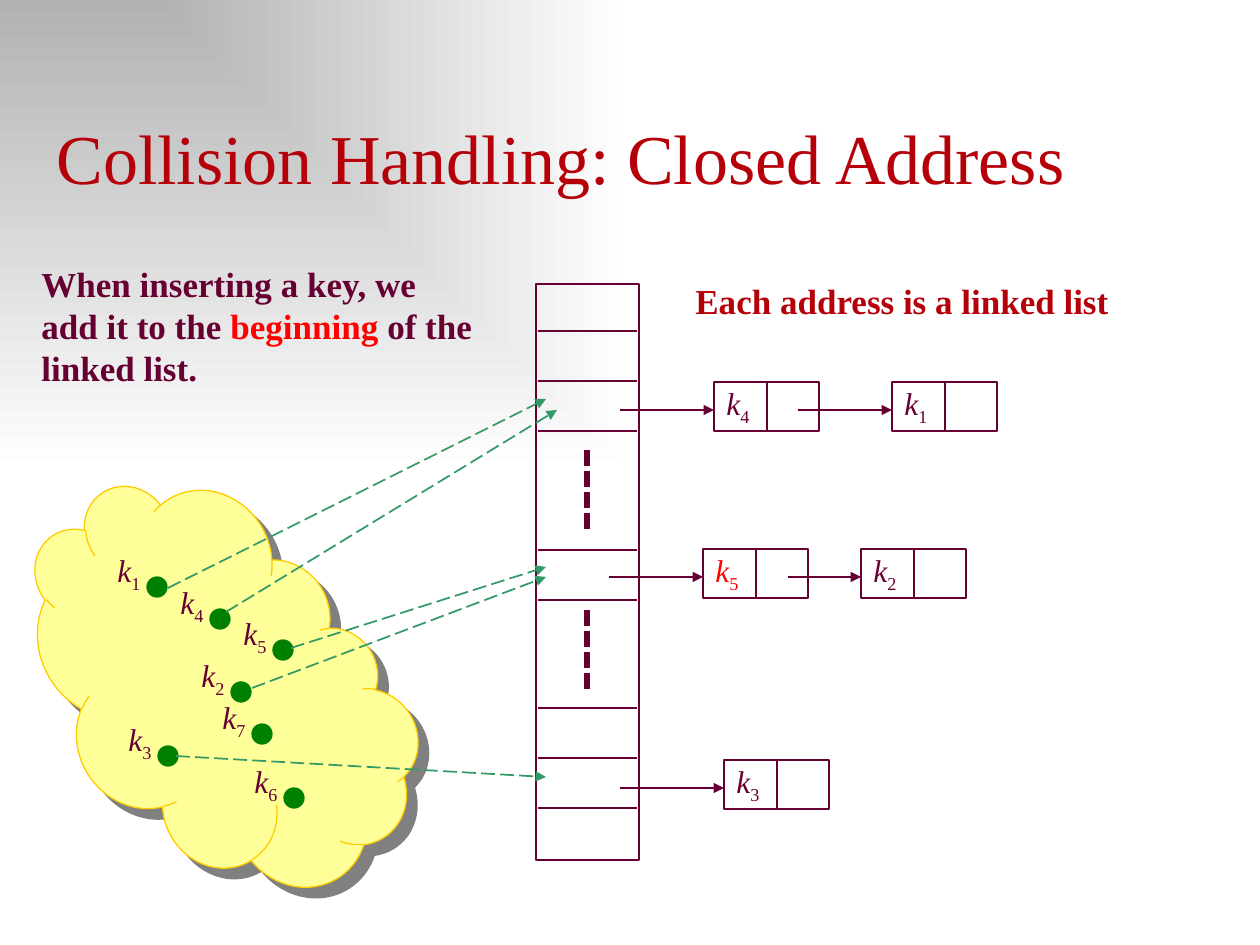
from dataclasses import dataclass

from lxml.etree import SubElement
from pptx import Presentation
from pptx.dml.color import RGBColor
from pptx.enum.dml import MSO_LINE
from pptx.enum.shapes import MSO_CONNECTOR, MSO_SHAPE
from pptx.enum.text import MSO_ANCHOR, MSO_AUTO_SIZE, PP_ALIGN
from pptx.oxml.ns import qn
from pptx.util import Emu, Pt

PX_PER_INCH = 126
TITLE_ONLY = 5


@dataclass(frozen=True)
class Theme:
    font: str = "Times New Roman"
    ink: RGBColor = RGBColor(0x66, 0x00, 0x33)
    heading: RGBColor = RGBColor(0xB6, 0x00, 0x09)
    accent: RGBColor = RGBColor(0xFF, 0x00, 0x00)
    cloud: RGBColor = RGBColor(0xFF, 0xFF, 0x99)
    cloud_edge: RGBColor = RGBColor(0xFF, 0xCC, 0x00)
    dot: RGBColor = RGBColor(0x00, 0x80, 0x00)
    hash_arrow: RGBColor = RGBColor(0x33, 0x99, 0x66)
    bg_start: RGBColor = RGBColor(0xB2, 0xB2, 0xB2)
    bg_end: RGBColor = RGBColor(0xFF, 0xFF, 0xFF)
    shadow: str = "808080"
    title_size: int = 40
    note_size: int = 20
    key_size: int = 18
    thin: float = 0.75
    medium: float = 1
    thick: float = 3


THEME = Theme()

# Table of addresses: outline, row rules and the dotted gaps between them
TABLE_BOX = (536, 284, 103, 576)
ROW_RULES = (331, 381, 431, 550, 600, 708, 758, 808)
ROW_GAPS = (450, 610)

# Keys in the cloud: number, dot left and top
KEYS = [(1, 147, 577), (5, 273, 640), (2, 231, 682), (4, 210, 609),
        (3, 158, 746), (7, 252, 724), (6, 284, 788)]

# Linked list nodes: number, left, top, start of the incoming arrow, colour
NODES = [(4, 714, 382, 620, THEME.ink), (1, 892, 382, 798, THEME.ink),
         (5, 703, 549, 609, THEME.accent), (2, 861, 549, 788, THEME.ink),
         (3, 724, 760, 620, THEME.ink)]

# Arrows from keys to their table rows
HASHES = [(168, 588, 546, 399), (226, 612, 557, 410), (291, 648, 546, 567),
          (252, 688, 546, 577), (176, 756, 546, 777)]


def px(value):
    return Emu(round(value * 914400 / PX_PER_INCH))


def add_runs(paragraph, runs, **shared):
    for text, own in runs:
        run = paragraph.add_run()
        run.text = text
        formats = {"name": THEME.font, **shared, **own}
        run.font.color.rgb = formats.pop("color")
        if formats.pop("subscript", False):
            run._r.get_or_add_rPr().set("baseline", "-25000")
        for name, value in formats.items():
            setattr(run.font, name, value)


def add_text(shapes, box, runs, **shared):
    frame = shapes.add_textbox(*map(px, box)).text_frame
    frame.word_wrap = True
    add_runs(frame.paragraphs[0], runs, **shared)


def add_key_label(shapes, box, number, color):
    runs = [("k", {"italic": True}), (str(number), {"subscript": True})]
    add_text(shapes, box, runs, size=Pt(THEME.key_size), color=color)


def add_figure(shapes, preset, box, edge, fill=None, width=THEME.thin):
    figure = shapes.add_shape(preset, *map(px, box))
    figure.shadow.inherit = False
    if fill is None:
        figure.fill.background()
    else:
        figure.fill.solid()
        figure.fill.fore_color.rgb = fill
    figure.line.color.rgb = edge
    figure.line.width = Pt(width)
    return figure


def add_line(shapes, ends, color=THEME.ink, width=THEME.thin, dash=None, arrow=False):
    line = shapes.add_connector(MSO_CONNECTOR.STRAIGHT, *map(px, ends))
    line.line.color.rgb = color
    line.line.width = Pt(width)
    if dash is not None:
        line.line.dash_style = dash
    if arrow:
        SubElement(line.line._get_or_add_ln(), qn("a:tailEnd"), type="triangle")
    SubElement(line._element.spPr, qn("a:effectLst"))


def paint_background(slide):
    fill = slide.background.fill
    fill.gradient()
    for stop, color in zip(fill.gradient_stops, (THEME.bg_start, THEME.bg_end)):
        stop.color.rgb = color
    # Spread the colours from the top left corner
    gradient = fill._fill._gradFill
    gradient.remove(gradient.find(qn("a:lin")))
    corner = SubElement(gradient, qn("a:path"), path="rect")
    SubElement(corner, qn("a:fillToRect"), r="100000", b="100000")


def fill_title(title, text):
    for name, value in zip(("left", "top", "width", "height"), (44, 108, 1191, 97)):
        setattr(title, name, px(value))
    frame = title.text_frame
    formats = {"vertical_anchor": MSO_ANCHOR.BOTTOM, "word_wrap": True,
               "auto_size": MSO_AUTO_SIZE.NONE}
    for name, value in formats.items():
        setattr(frame, name, value)
    frame.paragraphs[0].alignment = PP_ALIGN.LEFT
    add_runs(frame.paragraphs[0], [(text, {})],
             size=Pt(THEME.title_size), color=THEME.heading)


def add_cloud(shapes):
    cloud = add_figure(shapes, MSO_SHAPE.CLOUD, (-10, 536, 451, 305),
                       THEME.cloud_edge, THEME.cloud)
    cloud.rotation = 58.1
    effects = cloud._element.spPr.find(qn("a:effectLst"))
    shadow = SubElement(effects, qn("a:outerShdw"), dist=str(Pt(8.5)),
                        dir="2700000", algn="ctr", rotWithShape="0")
    SubElement(shadow, qn("a:srgbClr"), val=THEME.shadow)


def add_address_table(shapes):
    table = shapes.add_group_shape().shapes
    left, _, width, _ = TABLE_BOX
    add_figure(table, MSO_SHAPE.RECTANGLE, TABLE_BOX, THEME.ink, width=THEME.medium)
    for y in ROW_RULES:
        add_line(table, (left + 2, y, left + width - 2, y))
    middle = left + width // 2
    for y in ROW_GAPS:
        add_line(table, (middle, y, middle, y + 79), width=THEME.thick,
                 dash=MSO_LINE.SQUARE_DOT)


def add_node(shapes, number, left, top, arrow_start, color):
    node = shapes.add_group_shape().shapes
    add_figure(node, MSO_SHAPE.RECTANGLE, (left, top, 105, 49), THEME.ink)
    add_line(node, (left + 53, top, left + 53, top + 49))
    add_key_label(node, (left, top - 4, 63, 50), number, color)
    add_line(shapes, (arrow_start, top + 28, left, top + 28), arrow=True)


def add_key(shapes, number, left, top):
    key = shapes.add_group_shape().shapes
    add_figure(key, MSO_SHAPE.OVAL, (left, top, 20, 20), THEME.dot, THEME.dot)
    add_key_label(key, (left - 42, top - 32, 84, 50), number, THEME.ink)


def main():
    deck = Presentation()
    deck.slide_width, deck.slide_height = px(1260), px(945)
    slide = deck.slides.add_slide(deck.slide_layouts[TITLE_ONLY])
    shapes = slide.shapes
    paint_background(slide)
    fill_title(shapes.title, "Collision Handling: Closed Address")

    # Keys and the addresses they hash to
    add_cloud(shapes)
    add_address_table(shapes)
    for key in KEYS:
        add_key(shapes, *key)
    for node in NODES:
        add_node(shapes, *node)
    for ends in HASHES:
        add_line(shapes, ends, THEME.hash_arrow, THEME.medium,
                 MSO_LINE.LONG_DASH, arrow=True)

    # Notes beside the table
    note = {"size": Pt(THEME.note_size), "bold": True}
    add_text(shapes, (683, 273, 462, 54), [("Each address is a linked list", {})],
             color=THEME.heading, **note)
    insertion = [("When inserting a key, we add it to the ", {}),
                 ("beginning", {"color": THEME.accent}),
                 (" of the linked list.", {})]
    add_text(shapes, (29, 256, 462, 140), insertion, color=THEME.ink, **note)

    deck.save("out.pptx")


if __name__ == "__main__":
    main()
